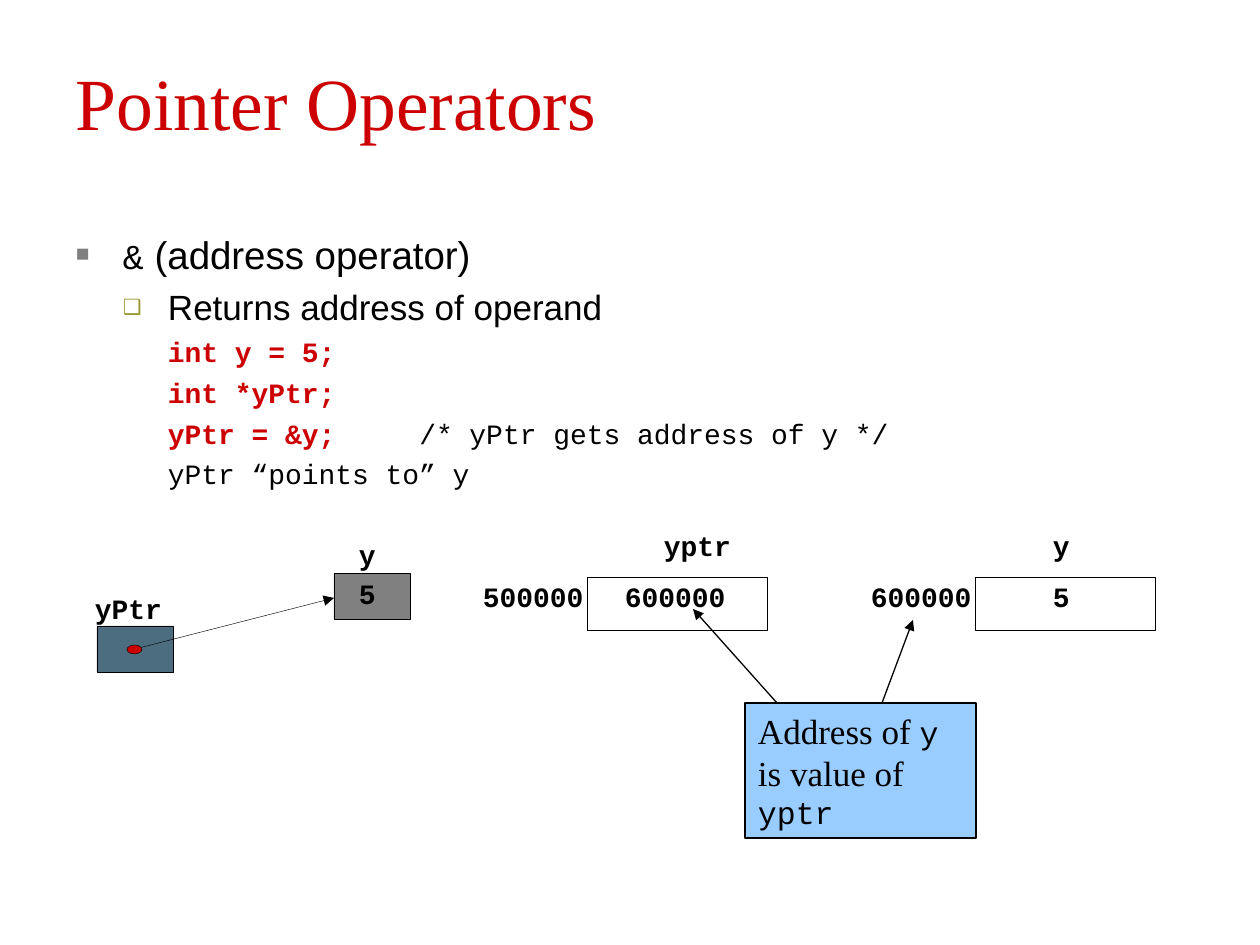
from lxml.etree import SubElement
from pptx import Presentation
from pptx.dml.color import RGBColor
from pptx.enum.shapes import MSO_CONNECTOR, MSO_SHAPE
from pptx.enum.text import MSO_ANCHOR, PP_ALIGN
from pptx.oxml.ns import qn
from pptx.util import Emu, Pt

SCALE = 914400 / 126
BLACK = RGBColor(0x00, 0x00, 0x00)
RED = RGBColor(0xCC, 0x00, 0x00)
GRAY = RGBColor(0x80, 0x80, 0x80)
OLIVE = RGBColor(0x99, 0x99, 0x33)
TEAL = RGBColor(0x4C, 0x6D, 0x80)
SKY = RGBColor(0x99, 0xCC, 0xFF)
SANS, SERIF, MONO = "Arial", "Times New Roman", "Courier New"


def px(n):
    return Emu(round(n * SCALE))


class Deck:
    thin = 0.25

    def __init__(self, wide, high):
        self.prs = Presentation()
        self.prs.slide_width, self.prs.slide_height = px(wide), px(high)
        self.slide = self.prs.slides.add_slide(self.prs.slide_layouts[6])

    def runs(self, para, parts):
        """Add runs given as (text, font, size, colour, bold)."""
        for text, face, size, color, bold in parts:
            run = para.add_run()
            run.text = text
            font = run.font
            font.name, font.size, font.bold = face, Pt(size), bold
            font.color.rgb = color

    def frame(self, shape, pad, wrap=True):
        frame = shape.text_frame
        frame.word_wrap = wrap
        frame.vertical_anchor = MSO_ANCHOR.TOP
        (frame.margin_left, frame.margin_top,
         frame.margin_right, frame.margin_bottom) = map(px, pad)
        return frame

    def text(self, box, pad=(0, 0, 0, 0), wrap=True):
        shape = self.slide.shapes.add_textbox(*map(px, box))
        return self.frame(shape, pad, wrap)

    def label(self, text, box, pitch):
        para = self.text(box, wrap=False).paragraphs[0]
        para.line_spacing = pitch
        self.runs(para, [(text, MONO, 16, BLACK, True)])

    def item(self, frame, first, parts, left, hang, before=0, mark=None):
        """Add a paragraph; mark is (symbol, colour, percent)."""
        para = frame.paragraphs[0] if first else frame.add_paragraph()
        para.space_before = Pt(before)
        props = para._p.get_or_add_pPr()
        props.set("marL", str(px(left)))
        props.set("indent", str(px(-hang)))
        if mark:
            sign, color, size = mark
            tint = SubElement(props, qn("a:buClr"))
            SubElement(tint, qn("a:srgbClr"), val=str(color))
            SubElement(props, qn("a:buSzPct"), val=str(size * 1000))
            SubElement(props, qn("a:buFont"), typeface=SANS)
            SubElement(props, qn("a:buChar"), char=sign)
        else:
            SubElement(props, qn("a:buNone"))
        self.runs(para, parts)

    def shape(self, kind, box, fill=None, width=thin):
        shape = self.slide.shapes.add_shape(kind, *map(px, box))
        shape.shadow.inherit = False
        if fill is None:
            shape.fill.background()
        else:
            shape.fill.solid()
            shape.fill.fore_color.rgb = fill
        shape.line.color.rgb = BLACK
        shape.line.width = Pt(width)
        return shape

    def arrow(self, start, end, width=0.75):
        line = self.slide.shapes.add_connector(
            MSO_CONNECTOR.STRAIGHT, *map(px, start + end))
        line.line.color.rgb = BLACK
        line.line.width = Pt(width)
        SubElement(line.line._get_or_add_ln(), qn("a:tailEnd"), type="triangle")
        SubElement(line._element.spPr, qn("a:effectLst"))

    def cell(self, left, name, place, value, shift, inset):
        """Draw a memory cell with its name above and its address beside."""
        self.label(name, (left + shift, 535, 70, 40), 0.8)
        self.label(place, (left - 104, 586, 103, 40), 0.8)
        self.label(value, (left + inset, 586, 103, 40), 0.8)
        self.shape(MSO_SHAPE.RECTANGLE, (left, 577, 180, 53))


def main():
    deck = Deck(1260, 945)

    title = deck.text((63, 42, 1134, 157), (13, 15, 13, 6))
    deck.runs(title.paragraphs[0],
              [("Pointer Operators", SERIF, 42, RED, False)])

    body = deck.text((63, 220, 1134, 624), (13, 11, 13, 6))
    deck.item(body, True,
              [("&", MONO, 20, BLACK, False),
               (" (address operator)", SANS, 22, BLACK, False)],
              47, 47, mark=("■", GRAY, 65))
    deck.item(body, False,
              [("Returns address of operand", SANS, 20, BLACK, False)],
              92, 45, 5, ("❑", OLIVE, 60))
    code = [
        [("int y = 5;", RED)],
        [("int *yPtr;", RED)],
        [("yPtr = &y;", RED), ("     /* yPtr gets address of y */", BLACK)],
        [("yPtr “points to” y", BLACK)],
    ]
    for row in code:
        parts = [(text, MONO, 16, color, color == RED) for text, color in row]
        deck.item(body, False, parts, 140, 48, 4)

    deck.shape(MSO_SHAPE.RECTANGLE, (97, 626, 76, 46), TEAL)
    deck.shape(MSO_SHAPE.RECTANGLE, (334, 573, 76, 46), GRAY)
    deck.arrow((135, 649), (334, 598), deck.thin)
    deck.label("yPtr", (95, 600, 79, 26), 0.72)
    deck.shape(MSO_SHAPE.OVAL, (127, 645, 15, 9), RED)
    for text, top in (("y", 546), ("5", 585)):
        deck.label(text, (359, top, 25, 26), 0.72)

    deck.cell(587, "yptr", "500000", "600000", 77, 38)
    deck.cell(975, "y", "600000", "5", 78, 78)

    note = deck.shape(MSO_SHAPE.RECTANGLE, (745, 703, 231, 135), SKY, 0.75)
    para = deck.frame(note, (13, 6, 13, 6)).paragraphs[0]
    para.alignment = PP_ALIGN.LEFT
    deck.runs(para, [("Address of ", SERIF, 20, BLACK, False),
                     ("y", MONO, 18, BLACK, False),
                     (" is value of ", SERIF, 20, BLACK, False),
                     ("yptr", MONO, 18, BLACK, False)])
    deck.arrow((882, 703), (913, 620))
    deck.arrow((777, 703), (693, 609))

    deck.prs.save("out.pptx")


if __name__ == "__main__":
    main()
